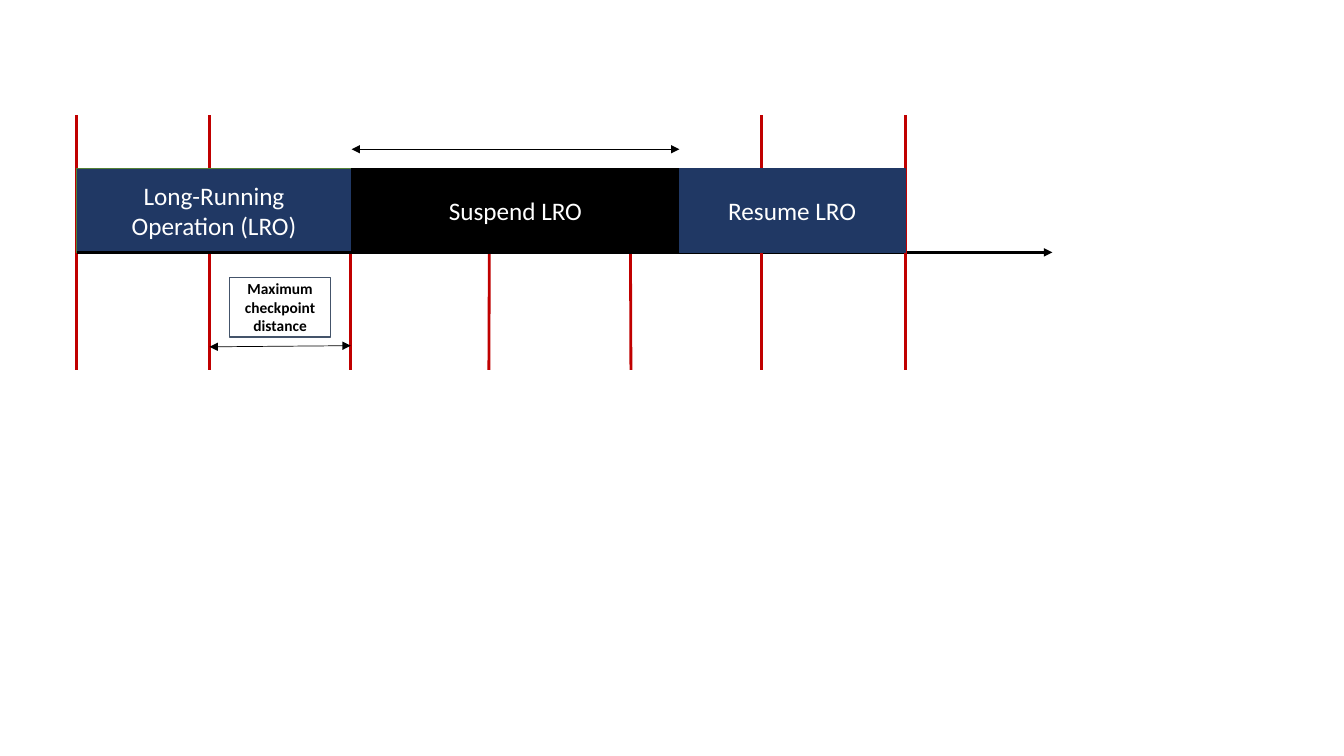
from lxml.etree import SubElement
from pptx import Presentation
from pptx.dml.color import RGBColor
from pptx.enum.shapes import MSO_CONNECTOR as CONN, MSO_SHAPE as SHAPE
from pptx.enum.text import MSO_ANCHOR as ANCHOR, PP_ALIGN as ALIGN
from pptx.oxml.ns import qn
from pptx.util import Cm, Pt

COLORS = {"navy": "203864", "black": "000000", "white": "FFFFFF",
          "red": "C00000", "green": "538035", "slate": "44546A"}
BAR_TOP, BAR_HEIGHT = 4.24, 2.13
MARK_TOP, MARK_BOTTOM = 2.9, 9.32
START, CHECK, SUSPEND, RESUME, END = 1.93, 5.28, 8.86, 17.12, 22.81
BAR_FONT = {"name": "Calibri", "size": Pt(18)}
NOTE_FONT = {"name": "Calibri", "size": Pt(11), "bold": True}


def rgb(name):
    """Return the named colour."""
    return RGBColor.from_string(COLORS[name])


def add_line(s, x1, y1, x2, y2, color="red", width=2, ends=()):
    """Draw a straight line with triangles at the given ends."""
    c = s.shapes.add_connector(CONN.STRAIGHT, Cm(x1), Cm(y1), Cm(x2), Cm(y2))
    c.line.color.rgb = rgb(color)
    c.line.width = Pt(width)
    ln = c.line._get_or_add_ln()
    for end in ends:
        SubElement(ln, qn(f"a:{end}"), type="triangle")
    SubElement(c._element.spPr, qn("a:effectLst"))


def add_span(s, x1, y1, x2, y2):
    """Draw a thin double-headed arrow."""
    add_line(s, x1, y1, x2, y2, "black", 0.5, ("headEnd", "tailEnd"))


def add_box(s, x, y, w, h, lines, fill, line, color, font):
    """Draw a rectangle with centred text, one paragraph per line."""
    sp = s.shapes.add_shape(SHAPE.RECTANGLE, Cm(x), Cm(y), Cm(w), Cm(h))
    sp.shadow.inherit = False
    sp.fill.solid()
    sp.fill.fore_color.rgb = rgb(fill)
    sp.line.color.rgb = rgb(line)
    sp.line.width = Pt(1)
    tf = sp.text_frame
    tf.word_wrap = True
    tf.vertical_anchor = ANCHOR.MIDDLE
    for i, text in enumerate(lines):
        p = tf.add_paragraph() if i else tf.paragraphs[0]
        p.alignment = ALIGN.CENTER
        r = p.add_run()
        r.text = text
        r.font.color.rgb = rgb(color)
        for key, value in font.items():
            setattr(r.font, key, value)


def add_bar(s, left, right, lines, fill, line):
    """Draw one phase of the operation on the timeline."""
    add_box(s, left, BAR_TOP, right - left, BAR_HEIGHT,
            lines, fill, line, "white", BAR_FONT)


def main():
    """Build the checkpoint timeline slide."""
    prs = Presentation()
    prs.slide_width, prs.slide_height = Cm(33.87), Cm(19.05)
    s = prs.slides.add_slide(prs.slide_layouts[6])

    for x in (START, CHECK):
        add_line(s, x, MARK_TOP, x, MARK_BOTTOM)
    for x1, x2 in ((8.84, 8.84), (12.34, 12.32), (15.88, 15.9)):
        add_line(s, x1, BAR_TOP, x2, MARK_BOTTOM)
    add_bar(s, START, SUSPEND, ["Long-Running", "Operation (LRO)"], "navy", "green")
    add_bar(s, SUSPEND, RESUME, ["Suspend LRO"], "black", "black")
    add_line(s, START, 6.36, 26.52, 6.36, "black", 2, ("tailEnd",))
    for x in (19.2, END):
        add_line(s, x, MARK_TOP, x, MARK_BOTTOM)
    add_bar(s, RESUME, END, ["Resume LRO"], "navy", "navy")

    add_span(s, CHECK, 8.74, 8.84, 8.71)
    add_box(s, 5.79, 6.99, 2.54, 1.5, ["Maximum checkpoint distance"],
            "white", "slate", "black", NOTE_FONT)
    add_span(s, SUSPEND, 3.76, RESUME, 3.76)
    prs.save("out.pptx")


if __name__ == "__main__":
    main()
